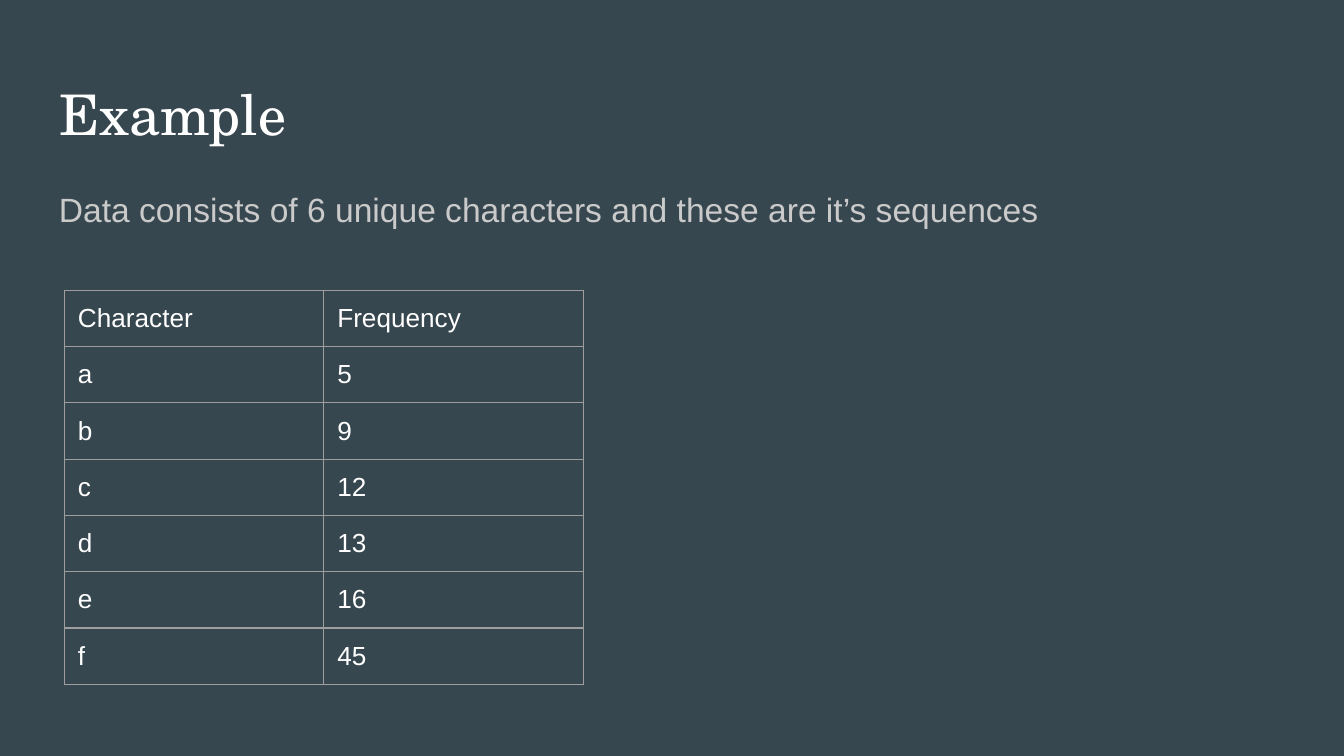
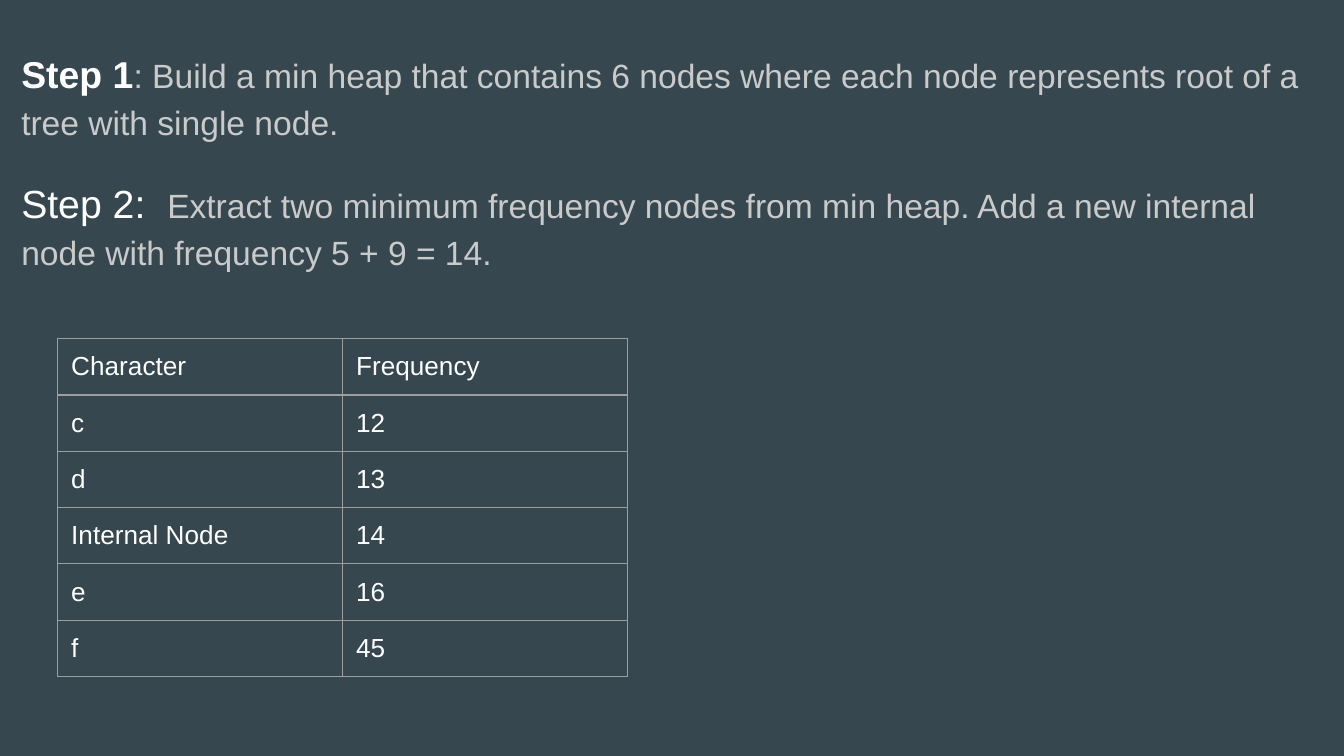
from dataclasses import dataclass

from lxml import etree
from pptx import Presentation
from pptx.dml.color import RGBColor
from pptx.enum.text import MSO_ANCHOR, MSO_AUTO_SIZE, PP_ALIGN
from pptx.oxml.ns import qn
from pptx.util import Inches, Pt

LEFT = PP_ALIGN.LEFT
TOP = MSO_ANCHOR.TOP
NO_FIT = MSO_AUTO_SIZE.NONE
TITLE_ONLY, BLANK = 5, 6


@dataclass(frozen=True)
class Theme:
    background: str = "37474F"
    strong: str = "FFFFFF"
    muted: str = "CACACA"
    grid: str = "9E9E9E"
    title_font: str = "TeX Gyre Schola"
    body_font: str = "Arial"
    title_size: int = 30
    step_1_size: int = 20
    step_2_size: int = 21
    body_size: int = 18
    table_size: int = 14
    line_spacing: float = 1.15
    step_gap: int = 16
    inset: float = 0.1
    row_height: float = 0.35  # minimum; rows grow to fit their text
    grid_width: float = 0.75


THEME = Theme()


def write(p, text, size=THEME.body_size, color=THEME.muted,
          font=THEME.body_font, bold=False):
    """Add one formatted run to a paragraph."""
    r = p.add_run()
    r.text = text
    r.font.size = Pt(size)
    r.font.name = font
    r.font.bold = bold
    r.font.color.rgb = RGBColor.from_string(color)


def set_insets(target):
    """Give a text frame or table cell the shared margins."""
    target.margin_left = target.margin_right = Inches(THEME.inset)
    target.margin_top = target.margin_bottom = Inches(THEME.inset)


def prepare_frame(tf):
    tf.word_wrap = True
    tf.auto_size = NO_FIT
    tf.vertical_anchor = TOP
    set_insets(tf)


def add_title(s, text, box):
    sp = s.shapes.title
    sp.left, sp.top, sp.width, sp.height = map(Inches, box)
    prepare_frame(sp.text_frame)
    p = sp.text_frame.paragraphs[0]
    p.alignment = LEFT
    write(p, text, size=THEME.title_size, color=THEME.strong,
          font=THEME.title_font)


def add_body(s, paragraphs, box):
    """Each paragraph is a list of (text, format) runs."""
    tf = s.shapes.add_textbox(*map(Inches, box)).text_frame
    prepare_frame(tf)
    for i, runs in enumerate(paragraphs):
        p = tf.add_paragraph() if i else tf.paragraphs[0]
        p.line_spacing = THEME.line_spacing
        p.space_before = Pt(THEME.step_gap if i else 0)
        for text, fmt in runs:
            write(p, text, **fmt)


def outline_cell(cell):
    tc_pr = cell._tc.get_or_add_tcPr()
    for side in ("a:lnL", "a:lnR", "a:lnT", "a:lnB"):
        ln = etree.SubElement(tc_pr, qn(side), w=str(Pt(THEME.grid_width)))
        fill = etree.SubElement(ln, qn("a:solidFill"))
        etree.SubElement(fill, qn("a:srgbClr"), val=THEME.grid)


def add_frequency_table(s, frequencies, left, top, col_width):
    rows = [("Character", "Frequency"), *frequencies]
    table = s.shapes.add_table(
        len(rows), 2, Inches(left), Inches(top), Inches(2 * col_width),
        Inches(THEME.row_height * len(rows))).table
    table.first_row = table.horz_banding = False
    for row, values in zip(table.rows, rows):
        row.height = Inches(THEME.row_height)
        for cell, value in zip(row.cells, values):
            outline_cell(cell)
            cell.fill.background()
            set_insets(cell)
            write(cell.text_frame.paragraphs[0], str(value),
                  size=THEME.table_size, color=THEME.strong)


def build_example(prs):
    s = prs.slides.add_slide(prs.slide_layouts[TITLE_ONLY])
    add_title(s, "Example", (0.34, 0.49, 9.32, 0.63))
    intro = "Data consists of 6 unique characters and these are it’s sequences"
    add_body(s, [[(intro, {})]], (0.34, 1.26, 9.32, 3.74))
    add_frequency_table(
        s, zip("abcdef", (5, 9, 12, 13, 16, 45)), 0.48, 2.16, 1.93)


def build_steps(prs):
    s = prs.slides.add_slide(prs.slide_layouts[BLANK])
    step_1 = [
        ("Step 1", dict(size=THEME.step_1_size, color=THEME.strong, bold=True)),
        (": Build a min heap that contains 6 nodes where each node "
         "represents root of a tree with single node.", {}),
    ]
    step_2 = [
        ("Step 2:  ", dict(size=THEME.step_2_size, color=THEME.strong)),
        ("Extract two minimum frequency nodes from min heap. Add a new "
         "internal node with frequency 5 + 9 = 14.", {}),
    ]
    add_body(s, [step_1, step_2], (0.06, 0.23, 9.81, 5.28))
    add_frequency_table(
        s, [("c", 12), ("d", 13), ("Internal Node", 14), ("e", 16), ("f", 45)],
        0.43, 2.52, 2.12)


def main():
    prs = Presentation()
    # Widescreen, 16:9
    prs.slide_width = Inches(10)
    prs.slide_height = prs.slide_width * 9 // 16

    # Shared background
    fill = prs.slide_master.background.fill
    fill.solid()
    fill.fore_color.rgb = RGBColor.from_string(THEME.background)

    build_example(prs)
    build_steps(prs)
    prs.save("out.pptx")


if __name__ == "__main__":
    main()
